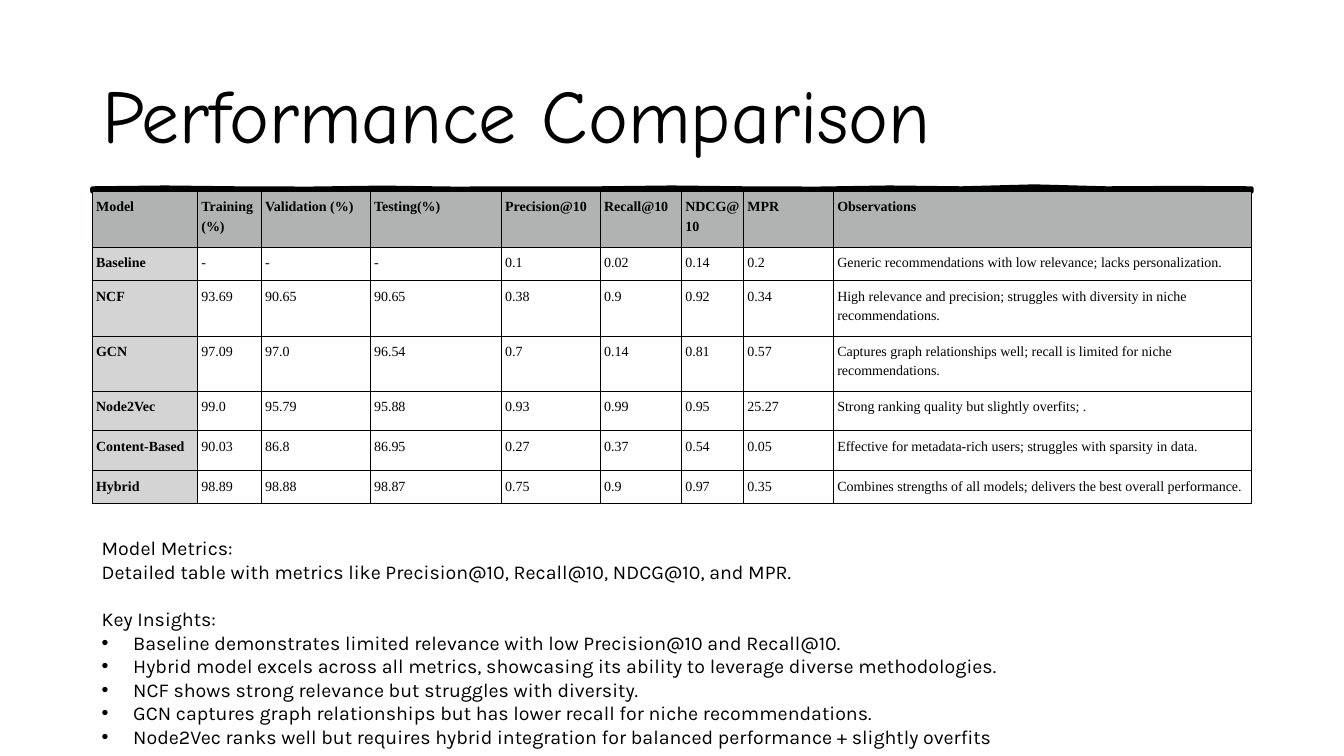
import pptx
import pptx.dml.color
import pptx.enum.text
import pptx.oxml.ns
import pptx.util
import lxml.etree

Pt = pptx.util.Pt
qn = pptx.oxml.ns.qn

# Content
TITLE = "Performance Comparison"
HEADER = ["Model", "Training(%)", "Validation (%)", "Testing(%)", "Precision@10",
          "Recall@10", "NDCG@10", "MPR", "Observations"]
MODELS = [
    ["Baseline", "-", "-", "-", "0.1", "0.02", "0.14", "0.2",
     "Generic recommendations with low relevance; lacks personalization."],
    ["NCF", "93.69", "90.65", "90.65", "0.38", "0.9", "0.92", "0.34",
     "High relevance and precision; struggles with diversity in niche recommendations."],
    ["GCN", "97.09", "97.0", "96.54", "0.7", "0.14", "0.81", "0.57",
     "Captures graph relationships well; recall is limited for niche recommendations."],
    ["Node2Vec", "99.0", "95.79", "95.88", "0.93", "0.99", "0.95", "25.27",
     "Strong ranking quality but slightly overfits; ."],
    ["Content-Based", "90.03", "86.8", "86.95", "0.27", "0.37", "0.54", "0.05",
     "Effective for metadata-rich users; struggles with sparsity in data."],
    ["Hybrid", "98.89", "98.88", "98.87", "0.75", "0.9", "0.97", "0.35",
     "Combines strengths of all models; delivers the best overall performance."],
]
METRICS = ["Model Metrics:",
           "Detailed table with metrics like Precision@10, Recall@10, NDCG@10, and MPR."]
INSIGHTS_HEADING = "Key Insights:"
INSIGHTS = [
    "Baseline demonstrates limited relevance with low Precision@10 and Recall@10.",
    "Hybrid model excels across all metrics, showcasing its ability to leverage diverse methodologies.",
    "NCF shows strong relevance but struggles with diversity.",
    "GCN captures graph relationships but has lower recall for niche recommendations.",
    "Node2Vec ranks well but requires hybrid integration for balanced performance + slightly overfits",
]

# Format
COLORS = {"ink": "000000", "header": "B0B3B2", "model": "D4D4D4"}
COLUMN_WIDTHS = [75.2, 45.6, 77.8, 93.6, 70.7, 58, 44.4, 64.2, 298.6]
ROW_HEIGHTS = [40, 23.6, 39.6, 39.6, 28.2, 28.4, 23.6]
LEFT, RULE_WIDTH, RULE_TOP, RULE_BOTTOM = 66, 828, 134.6, 136.8
# Vertical wobble of the hand-drawn rule, at even steps along each edge
TOP_WOBBLE = [0, -0.6, 0, 0.2, -0.5, 0.2, 0, 0, -0.6, 0, 0.2, -0.6, 0, -1.4, 0, -0.3, 0]
BOTTOM_WOBBLE = [0, 0.3, 0, 0.5, -0.3, 0.4, 0, 0.5, 0, 0.5, 0, 0.4, 0, 0.6, 0, 0.4, 0]


def color(name):
    return pptx.dml.color.RGBColor.from_string(COLORS[name])


def write(para, text, *, font, size, bold=False, line=None, before=0, bullet=False):
    span = para.add_run()
    span.text = text
    span.font.name, span.font.size, span.font.bold = font, Pt(size), bold
    span.font.color.rgb = color("ink")
    para.space_before = Pt(before)
    if line:
        para.line_spacing = Pt(line)
    if bullet:
        properties = para._p.get_or_add_pPr()
        properties.set("marL", str(Pt(22.5)))
        properties.set("indent", str(-Pt(22.5)))
        lxml.etree.SubElement(properties, qn("a:buFont"), typeface="Arial")
        lxml.etree.SubElement(properties, qn("a:buChar"), char="•")


def add_box(page, left, top, width, height):
    frame = page.shapes.add_textbox(Pt(left), Pt(top), Pt(width), Pt(height)).text_frame
    frame.word_wrap = True
    return frame


def add_borders(cell):
    properties = cell._tc.get_or_add_tcPr()
    for side in ("lnL", "lnR", "lnT", "lnB"):
        border = lxml.etree.SubElement(properties, qn("a:" + side), w=str(Pt(0.75)))
        fill = lxml.etree.SubElement(border, qn("a:solidFill"))
        lxml.etree.SubElement(fill, qn("a:srgbClr"), val=COLORS["ink"])


def add_rule(page):
    step = RULE_WIDTH / (len(TOP_WOBBLE) - 1)
    top = [(Pt(LEFT + i * step), Pt(RULE_TOP + dy)) for i, dy in enumerate(TOP_WOBBLE)]
    bottom = [(Pt(LEFT + i * step), Pt(RULE_BOTTOM + dy)) for i, dy in enumerate(BOTTOM_WOBBLE)]
    builder = page.shapes.build_freeform(*top[0])
    builder.add_line_segments(top[1:] + bottom[::-1], close=True)
    rule = builder.convert_to_shape()
    rule.shadow.inherit = False
    rule.fill.solid()
    rule.fill.fore_color.rgb = color("ink")
    rule.line.color.rgb = color("ink")
    rule.line.width = Pt(3)


def add_results(page):
    rows = [HEADER] + MODELS
    table = page.shapes.add_table(len(rows), len(HEADER), Pt(65.8), Pt(136.8),
                                  Pt(sum(COLUMN_WIDTHS)), Pt(sum(ROW_HEIGHTS))).table
    table.first_row = table.horz_banding = False
    for column, width in zip(table.columns, COLUMN_WIDTHS):
        column.width = Pt(width)
    for r, values in enumerate(rows):
        table.rows[r].height = Pt(ROW_HEIGHTS[r])
        for c, value in enumerate(values):
            cell = table.cell(r, c)
            cell.margin_left = cell.margin_right = Pt(2.9)
            cell.margin_top = cell.margin_bottom = Pt(2.9)
            write(cell.text_frame.paragraphs[0], value, font="Times New Roman",
                  size=10, bold=r == 0 or c == 0, line=13.9)
            add_borders(cell)
            if r == 0 or c == 0:
                cell.fill.solid()
                cell.fill.fore_color.rgb = color("header" if r == 0 else "model")
            else:
                cell.fill.background()


def add_notes_on_models(page):
    frame = add_box(page, 65.5, 379.6, 829.4, 158.6)
    lines = [(text, {}) for text in METRICS]
    lines.append((INSIGHTS_HEADING, {"before": 16.8}))
    lines += [(text, {"bullet": True}) for text in INSIGHTS]
    for i, (text, layout) in enumerate(lines):
        para = frame.add_paragraph() if i else frame.paragraphs[0]
        write(para, text, font="Karla", size=14, **layout)


def main():
    deck = pptx.Presentation()
    deck.slide_width, deck.slide_height = Pt(960), Pt(540)
    page = deck.slides.add_slide(deck.slide_layouts[6])

    # Rule under the title
    add_rule(page)

    # Title
    title = add_box(page, LEFT, 28.8, RULE_WIDTH, 104.4)
    title.vertical_anchor = pptx.enum.text.MSO_ANCHOR.MIDDLE
    write(title.paragraphs[0], TITLE, font="Comic Neue", size=54)

    # Results table and the reading of it
    add_results(page)
    add_notes_on_models(page)
    deck.save("out.pptx")


if __name__ == "__main__":
    main()
